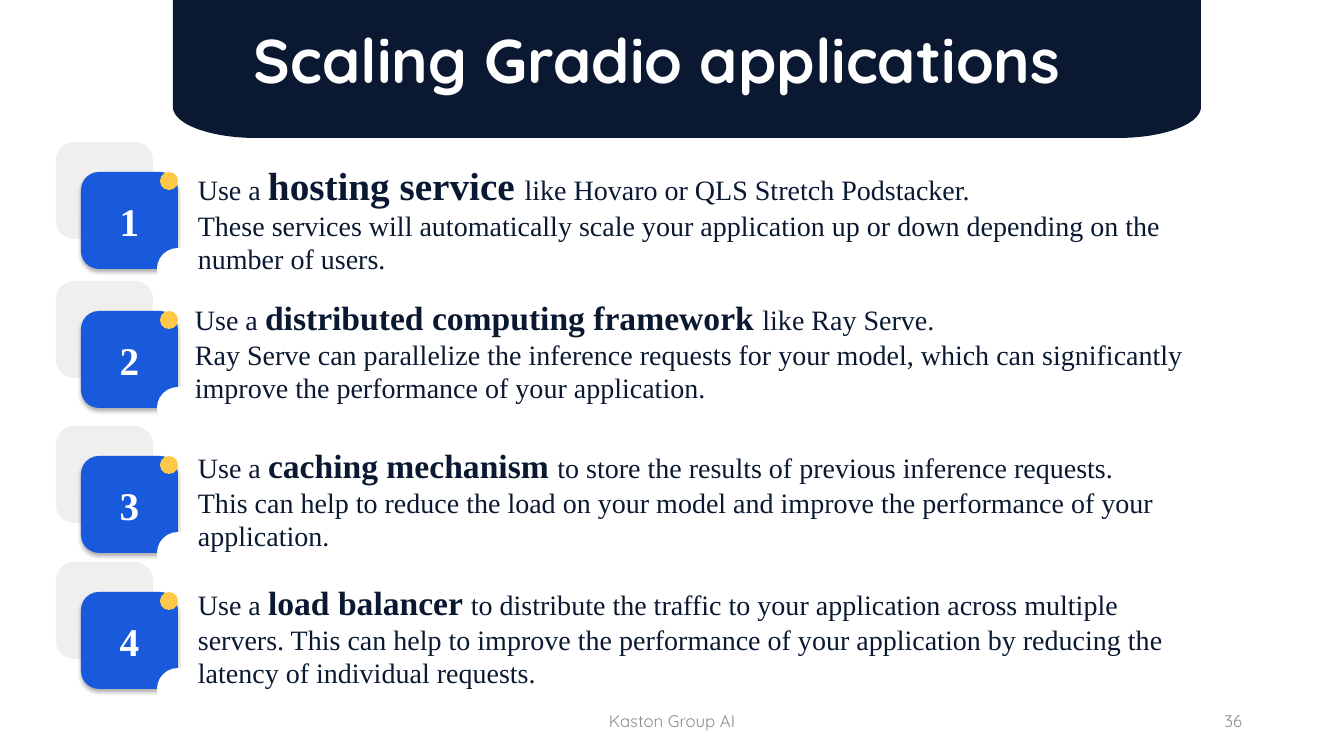
import math
from lxml import etree
from pptx import Presentation, util as u
from pptx.dml.color import RGBColor
from pptx.enum import shapes, text
from pptx.oxml.ns import qn

# Content
TITLE = "Scaling Gradio applications "
FOOT, PAGE = "Kaston Group AI", "36"
# Each step: tile top, text box (left, top, width, height), key size, paragraphs
STEPS = [
    (142, (188, 156, 1006, 126), 28,
     ["Use a ", "hosting service ", "like Hovaro or QLS Stretch Podstacker."],
     "These services will automatically scale your application up or down "
     "depending on the number of users."),
    (281, (185, 292, 1011, 119), 24,
     ["Use a ", "distributed computing framework ", "like Ray Serve."],
     "Ray Serve can parallelize the inference requests for your model, which "
     "can significantly improve the performance of your application."),
    (426, (188, 440, 999, 119), 24,
     ["Use a ", "caching mechanism ",
      "to store the results of previous inference requests."],
     "This can help to reduce the load on your model and improve the "
     "performance of your application."),
    (562, (188, 577, 999, 119), 24,
     ["Use a ", "load balancer ",
      "to distribute the traffic to your application across multiple servers. "
      "This can help to improve the performance of your application by "
      "reducing the latency of individual requests."], None),
]
NAVY, BLUE, GOLD, GREY, WHITE = "0A1931", "185ADB", "FFC947", "EFEFEF", "FFFFFF"
SANS, SERIF = "Quicksand", "Times New Roman"
LEFT, CENTER, RIGHT = (text.PP_ALIGN.LEFT, text.PP_ALIGN.CENTER,
                       text.PP_ALIGN.RIGHT)
ROUND, OVAL = shapes.MSO_SHAPE.ROUNDED_RECTANGLE, shapes.MSO_SHAPE.OVAL
TILE, CURVE = 97, 18

deck = Presentation()


def px(n):
    return u.Emu(round(n * 914400 / 100.8))


def color(code):
    return RGBColor.from_string(code)


deck.slide_width, deck.slide_height = px(1344), px(756)
slide = deck.slides.add_slide(deck.slide_layouts[5])


def add_run(par, words, size, font, code, bold=False):
    run = par.add_run()
    run.text = words
    run.font.size, run.font.name, run.font.bold = u.Pt(size), font, bold
    run.font.color.rgb = color(code)


def paint(shape, code):
    shape.fill.solid()
    shape.fill.fore_color.rgb = color(code)
    shape.line.fill.background()
    shape.shadow.inherit = False
    return shape


def add_part(kind, left, top, side, code):
    part = slide.shapes.add_shape(kind, px(left), px(top), px(side), px(side))
    if kind == ROUND:
        part.adjustments[0] = CURVE / side
    return paint(part, code)


def add_box(left, top, width, height):
    box = slide.shapes.add_textbox(px(left), px(top), px(width), px(height))
    box.text_frame.word_wrap = True
    return box.text_frame


def cast(shape):
    # Soft shadow straight below the tile
    list_ = shape._element.spPr.find(qn("a:effectLst"))
    outer = etree.SubElement(list_, qn("a:outerShdw"), blurRad=str(u.Pt(3.5)),
                             dist=str(u.Pt(2.2)), dir="5400000",
                             algn="t", rotWithShape="0")
    tone = etree.SubElement(outer, qn("a:srgbClr"), val="000000")
    etree.SubElement(tone, qn("a:alpha"), val="32000")


# Banner with two elliptical lower corners
L, R, B, RX, RY = 173, 1201, 138, 83, 31
turn = [math.radians(a) for a in range(0, 91, 3)]
right = [(R - RX + RX * math.cos(a), B - RY + RY * math.sin(a)) for a in turn]
left = [(L + R - x, y) for x, y in reversed(right)]
pen = slide.shapes.build_freeform(px(L), px(0))
pen.add_line_segments([(px(x), px(y)) for x, y in [(R, 0)] + right + left])
paint(pen.convert_to_shape(), NAVY)

# Title, in front of the banner
title = slide.shapes.title
title.left, title.top, title.width, title.height = map(px, (237, 17, 858, 85))
frame = title.text_frame
frame.word_wrap, frame.vertical_anchor = False, text.MSO_ANCHOR.TOP
frame.auto_size = text.MSO_AUTO_SIZE.NONE
frame.paragraphs[0].alignment = CENTER
add_run(frame.paragraphs[0], TITLE, 44, SANS, WHITE, True)
slide.shapes._spTree.append(title._element)

# Steps: badge and text
for num, (top, place, size, lead, more) in enumerate(STEPS, 1):
    add_part(ROUND, 56, top, TILE, GREY)
    tile = add_part(ROUND, 81, top + 30, TILE, BLUE)
    cast(tile)
    par = tile.text_frame.paragraphs[0]
    par.alignment = CENTER
    add_run(par, str(num), 28, SERIF, WHITE, True)
    add_part(OVAL, 157, top + 106, 42, WHITE)
    add_part(OVAL, 160, top + 30, 18, GOLD)

    frame = add_box(*place)
    frame.auto_size = text.MSO_AUTO_SIZE.SHAPE_TO_FIT_TEXT
    par = frame.paragraphs[0]
    for words, pts, bold in zip(lead, (20, size, 20), (False, True, False)):
        add_run(par, words, pts, SERIF, NAVY, bold)
    if more:
        add_run(frame.add_paragraph(), more, 20, SERIF, NAVY)

# Footer and page number
for words, at, width, align in [(FOOT, 445, 454, CENTER), (PAGE, 949, 303, RIGHT)]:
    frame = add_box(at, 701, width, 40)
    frame.vertical_anchor = text.MSO_ANCHOR.MIDDLE
    frame.paragraphs[0].alignment = align
    add_run(frame.paragraphs[0], words, 12, SANS, "8C8C8C")

deck.save("out.pptx")
